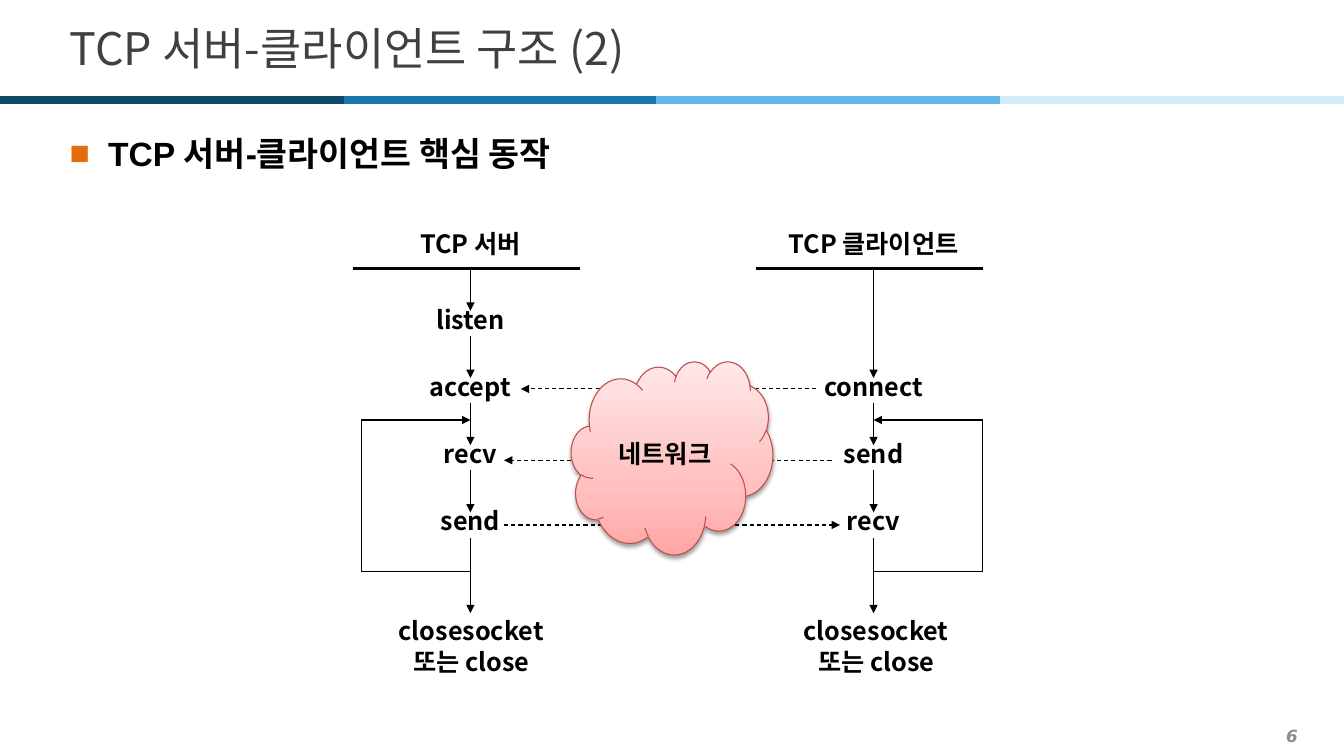
from copy import deepcopy

from lxml import etree
from pptx import Presentation
from pptx.dml.color import RGBColor
from pptx.enum.dml import MSO_LINE
from pptx.enum.shapes import MSO_CONNECTOR, MSO_SHAPE
from pptx.enum.text import MSO_ANCHOR, MSO_AUTO_SIZE, PP_ALIGN
from pptx.oxml.ns import qn
from pptx.util import Inches, Pt

STRAIGHT, CLOUD, DASH = MSO_CONNECTOR.STRAIGHT, MSO_SHAPE.CLOUD, MSO_LINE.DASH
LEFT, CENTER, RIGHT = PP_ALIGN.LEFT, PP_ALIGN.CENTER, PP_ALIGN.RIGHT
MIDDLE, TOP, NO_FIT = MSO_ANCHOR.MIDDLE, MSO_ANCHOR.TOP, MSO_AUTO_SIZE.NONE

COLORS = {
    "ink": "000000", "title": "404040", "page": "8C8C8C", "bullet": "E46C0A",
    "navy": "0F4A6B", "blue": "1877AC", "sky": "61B8E9", "pale": "D3EBF9",
    "cloud_edge": "BF4C48",
}
CLOUD_STOPS = [(0, "FFA6A5"), (0.35, "FFC0BF"), (1, "FFE7E7")]
KOREAN = "Noto Sans CJK KR"
STYLES = {
    "title": {"size": Pt(32), "name": KOREAN, "bold": False, "color": "title"},
    "body": {"size": Pt(24), "name": "Arial", "bold": True, "color": "ink"},
    "label": {"size": Pt(18), "name": KOREAN, "bold": True, "color": "ink"},
    "page": {"size": Pt(12), "name": "DejaVu Sans", "bold": True, "italic": True,
             "color": "page"},
}
COLUMNS, ROWS = 160, 90


def rgb(name):
    return RGBColor.from_string(COLORS[name])


def apply(target, values):
    for attribute, value in values.items():
        setattr(target, attribute, value)


class FlowSlide:
    """A slide on a grid of 160 columns by 90 rows."""

    def __init__(self, deck):
        self.column = deck.slide_width / COLUMNS
        self.row = deck.slide_height / ROWS
        self.slide = deck.slides.add_slide(deck.slide_layouts[1])
        self.shapes = self.slide.shapes

    def x(self, columns):
        return round(columns * self.column)

    def y(self, rows):
        return round(rows * self.row)

    def box(self, left, top, width, height):
        return self.x(left), self.y(top), self.x(width), self.y(height)

    def fill_text(self, frame, text, style, align=CENTER, anchor=MIDDLE, wrap=False):
        apply(frame, {"text": text, "auto_size": NO_FIT, "word_wrap": wrap,
                      "vertical_anchor": anchor})
        look = dict(STYLES[style])
        color = rgb(look.pop("color"))
        for paragraph in frame.paragraphs:
            paragraph.alignment = align
            for run in paragraph.runs:
                apply(run.font, look)
                run.font.color.rgb = color
                etree.SubElement(run._r.get_or_add_rPr(), qn("a:ea"), typeface=KOREAN)

    def placeholder(self, index, area, text, style, anchor):
        holder = self.slide.placeholders[index]
        apply(holder, dict(zip(("left", "top", "width", "height"), self.box(*area))))
        self.fill_text(holder.text_frame, text, style, LEFT, anchor, True)
        return holder.text_frame

    def bullets(self, area, text):
        for paragraph in self.placeholder(1, area, text, "body", TOP).paragraphs:
            apply(paragraph, {"line_spacing": 1.2, "space_before": Pt(0),
                              "space_after": Pt(2)})
            properties = paragraph._p.get_or_add_pPr()
            properties.set("marL", str(Inches(0.38)))
            properties.set("indent", str(Inches(-0.38)))
            color = etree.SubElement(properties, qn("a:buClr"))
            etree.SubElement(color, qn("a:srgbClr"), val=COLORS["bullet"])
            etree.SubElement(properties, qn("a:buFont"), typeface="Arial")
            etree.SubElement(properties, qn("a:buChar"), char="■")

    def text(self, area, text, style="label", align=CENTER, wrap=False):
        frame = self.shapes.add_textbox(*self.box(*area)).text_frame
        self.fill_text(frame, text, style, align, wrap=wrap)

    def step(self, center, top, text, height=4):
        self.text((center - 13, top, 26, height), text)

    def line(self, start, end, arrow=False, weight=0.75, color="ink", dash=None):
        connector = self.shapes.add_connector(
            STRAIGHT, self.x(start[0]), self.y(start[1]), self.x(end[0]), self.y(end[1]))
        apply(connector.line, {"width": Pt(weight), "dash_style": dash})
        connector.line.color.rgb = rgb(color)
        if arrow:
            outline = connector._element.spPr.find(qn("a:ln"))
            etree.SubElement(outline, qn("a:tailEnd"), type="triangle")
        etree.SubElement(connector._element.spPr, qn("a:effectLst"))

    def route(self, points):
        """Joins the points with lines; the last one ends in an arrow."""
        for number, (start, end) in enumerate(zip(points, points[1:]), 2):
            self.line(start, end, arrow=number == len(points))

    def cloud(self, area, text):
        cloud = self.shapes.add_shape(CLOUD, *self.box(*area))
        cloud.fill.gradient()
        cloud.fill.gradient_angle = 90
        properties = cloud._element.spPr
        stop_list = properties.find(".//" + qn("a:gsLst"))
        stop_list.append(deepcopy(stop_list[-1]))
        for stop, (position, color) in zip(cloud.fill.gradient_stops, CLOUD_STOPS):
            stop.position = position
            stop.color.rgb = RGBColor.from_string(color)
        cloud.line.color.rgb = rgb("cloud_edge")
        cloud.line.width = Pt(0.75)
        effects = etree.SubElement(properties, qn("a:effectLst"))
        shadow = etree.SubElement(effects, qn("a:outerShdw"), blurRad="40000",
                                  dist="20000", dir="5400000", rotWithShape="0")
        shade = etree.SubElement(shadow, qn("a:srgbClr"), val=COLORS["ink"])
        etree.SubElement(shade, qn("a:alpha"), val="38000")
        self.fill_text(cloud.text_frame, text, "label")


def draw_program(slide, axis, heading, steps, loop_side, close_axis):
    """Draws one column of calls; steps pairs each call with its top row."""
    slide.step(axis, 26, heading, 6)
    slide.line((axis - 14, 32), (axis + 13, 32), weight=2.25)
    leave = 32
    for call, top in steps:
        slide.step(axis, top, call)
        slide.line((axis, leave), (axis, top + 1), arrow=True)
        leave = top + 4
    slide.line((axis, leave), (axis, 68))
    slide.route([(axis, 68), (loop_side, 68), (loop_side, 50), (axis, 50)])
    slide.line((axis, 68), (axis, 73), arrow=True)
    slide.step(close_axis, 74.9, "closesocket\n또는 close")


def main():
    deck = Presentation()
    deck.slide_width, deck.slide_height = Inches(13.33), Inches(7.5)
    slide = FlowSlide(deck)

    edges = [0, 40.9, 78.1, 119, COLUMNS]
    for start, end, color in zip(edges, edges[1:], ("navy", "blue", "sky", "pale")):
        slide.line((start, 11.9), (end, 11.9), weight=6, color=color)
    slide.placeholder(0, (7.1, 1.6, 146.5, 8.2), "TCP 서버-클라이언트 구조 (2)",
                      "title", MIDDLE)
    slide.bullets((7.1, 14.2, 146.5, 72.4), "TCP 서버-클라이언트 핵심 동작")
    slide.text((2.4, 85.7, 153.3, 3.7), "6", "page", RIGHT, True)

    draw_program(slide, 56, "TCP 서버",
                 [("listen", 36), ("accept", 44), ("recv", 52), ("send", 60)], 43, 56.1)
    draw_program(slide, 104, "TCP 클라이언트",
                 [("connect", 44), ("send", 52), ("recv", 60)], 117, 104.3)

    for sender, receiver, row in ((97.2, 62, 46.3), (99, 60, 54.8), (60, 100, 62.5)):
        slide.line((sender, row), (receiver, row), arrow=True, dash=DASH)
    slide.cloud((68, 43, 24, 23), "네트워크")

    deck.save("out.pptx")


if __name__ == "__main__":
    main()
